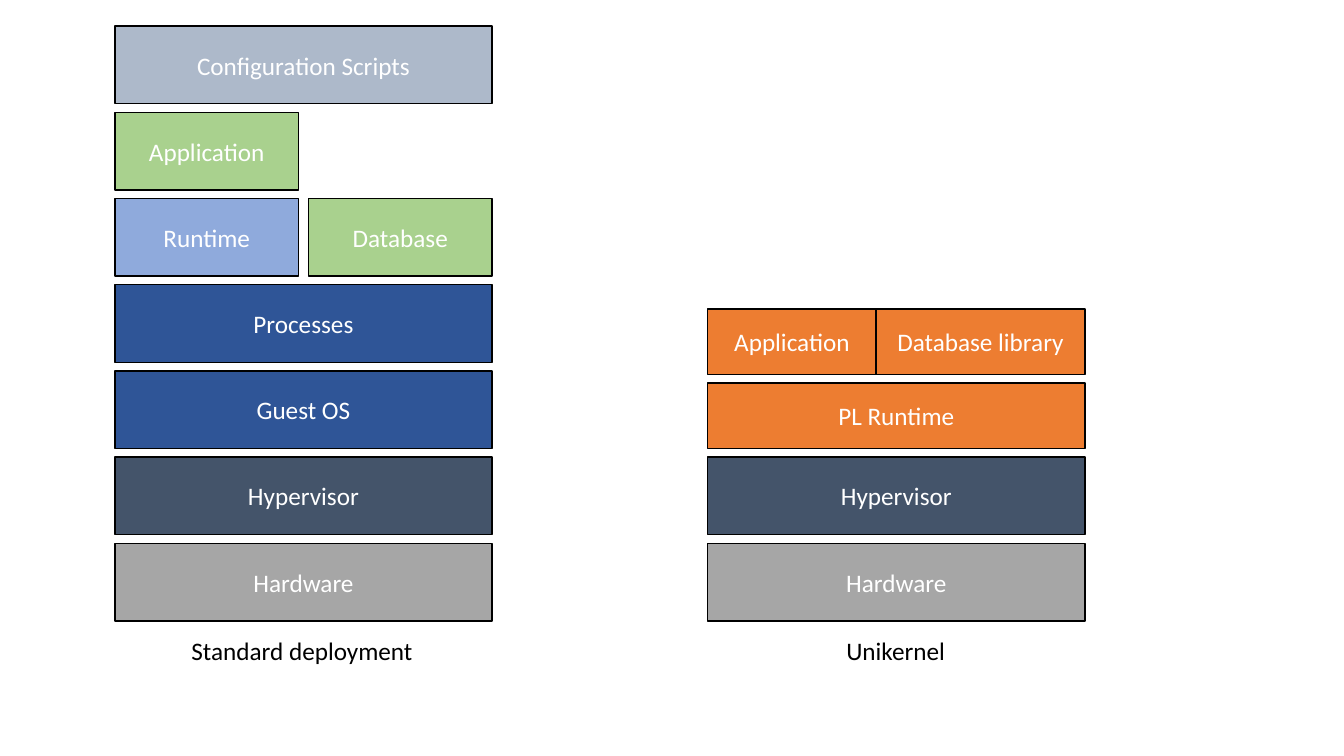
"""Build a slide that compares a standard deployment stack with a unikernel stack."""

from typing import NamedTuple

from pptx import Presentation
from pptx.dml.color import RGBColor
from pptx.enum.shapes import MSO_SHAPE
from pptx.enum.text import MSO_ANCHOR, MSO_AUTO_SIZE, PP_ALIGN
from pptx.shapes.base import BaseShape
from pptx.slide import Slide
from pptx.util import Emu, Pt

RECTANGLE = MSO_SHAPE.RECTANGLE
MIDDLE = MSO_ANCHOR.MIDDLE
FIT_SHAPE = MSO_AUTO_SIZE.SHAPE_TO_FIT_TEXT
LEFT = PP_ALIGN.LEFT
CENTER = PP_ALIGN.CENTER

BLACK = RGBColor(0x00, 0x00, 0x00)
WHITE = RGBColor(0xFF, 0xFF, 0xFF)
GRAY = RGBColor(0xA6, 0xA6, 0xA6)
SLATE = RGBColor(0x44, 0x54, 0x6A)
DARK_BLUE = RGBColor(0x2F, 0x55, 0x97)
LIGHT_BLUE = RGBColor(0x8F, 0xAA, 0xDC)
GREEN = RGBColor(0xA9, 0xD1, 0x8E)
PALE_SLATE = RGBColor(0xAD, 0xB9, 0xCA)
ORANGE = RGBColor(0xED, 0x7D, 0x31)

EMU_PER_PX = 4572
SLIDE_WIDTH = 2666
SLIDE_HEIGHT = 1500
STACK_WIDTH = 748
STACK_BOTTOM = 1232
ROW_GAP = 17
TALL = 154
SHORT = 130
HALF = 364
HALF_OFFSET = STACK_WIDTH - HALF
APPLICATION_WIDTH = 334
CAPTION_TOP = 1250
CAPTION_HEIGHT = 80


class Block(NamedTuple):
    """A labelled rectangle, placed relative to the left edge of its stack."""

    label: str
    color: RGBColor
    offset: int = 0
    width: int = STACK_WIDTH


class Row(NamedTuple):
    """Blocks that share one level of a stack."""

    height: int
    blocks: tuple[Block, ...]


class Stack(NamedTuple):
    """A captioned pile of rows, listed from bottom to top."""

    left: int
    caption: str
    caption_width: int
    rows: tuple[Row, ...]


SHARED_ROWS = (
    Row(TALL, (Block("Hardware", GRAY),)),
    Row(TALL, (Block("Hypervisor", SLATE),)),
)

STACKS = (
    Stack(228, "Standard deployment", 484, SHARED_ROWS + (
        Row(TALL, (Block("Guest OS", DARK_BLUE),)),
        Row(TALL, (Block("Processes", DARK_BLUE),)),
        Row(TALL, (
            Block("Runtime", LIGHT_BLUE, 0, HALF),
            Block("Database", GREEN, HALF_OFFSET, HALF),
        )),
        Row(TALL, (Block("Application", GREEN, 0, HALF),)),
        Row(TALL, (Block("Configuration Scripts", PALE_SLATE),)),
    )),
    Stack(1404, "Unikernel", 238, SHARED_ROWS + (
        Row(SHORT, (Block("PL Runtime", ORANGE),)),
        Row(SHORT, (
            Block("Application", ORANGE, 0, APPLICATION_WIDTH),
            Block("Database library", ORANGE, APPLICATION_WIDTH,
                  STACK_WIDTH - APPLICATION_WIDTH),
        )),
    )),
)


def px(length: int) -> Emu:
    """Convert a length in px to EMU."""
    return Emu(length * EMU_PER_PX)


def write_text(shape: BaseShape, text: str, *, color: RGBColor,
               alignment: PP_ALIGN, size: int = 18, font_name: str = "Calibri") -> None:
    """Put one formatted line of text into a shape."""
    paragraph = shape.text_frame.paragraphs[0]
    paragraph.alignment = alignment
    run = paragraph.add_run()
    run.text = text
    run.font.name = font_name
    run.font.size = Pt(size)
    run.font.color.rgb = color


def draw_block(slide: Slide, block: Block, stack_left: int, top: int, height: int) -> None:
    """Draw one block of a row."""
    shape = slide.shapes.add_shape(RECTANGLE, px(stack_left + block.offset), px(top),
                                   px(block.width), px(height))
    shape.shadow.inherit = False
    shape.fill.solid()
    shape.fill.fore_color.rgb = block.color
    shape.line.color.rgb = BLACK
    shape.line.width = Pt(1)
    shape.text_frame.vertical_anchor = MIDDLE
    write_text(shape, block.label, color=WHITE, alignment=CENTER)


def draw_caption(slide: Slide, stack: Stack) -> None:
    """Draw the caption centred below a stack."""
    left = stack.left + (STACK_WIDTH - stack.caption_width) // 2
    caption = slide.shapes.add_textbox(px(left), px(CAPTION_TOP),
                                       px(stack.caption_width), px(CAPTION_HEIGHT))
    caption.text_frame.word_wrap = False
    caption.text_frame.auto_size = FIT_SHAPE
    write_text(caption, stack.caption, color=BLACK, alignment=LEFT)


def draw_stack(slide: Slide, stack: Stack) -> None:
    """Draw the rows of a stack upwards, then its caption."""
    bottom = STACK_BOTTOM
    for row in stack.rows:
        top = bottom - row.height
        for block in row.blocks:
            draw_block(slide, block, stack.left, top, row.height)
        bottom = top - ROW_GAP
    draw_caption(slide, stack)


def main() -> None:
    """Create and save the presentation."""
    presentation = Presentation()
    presentation.slide_width = px(SLIDE_WIDTH)
    presentation.slide_height = px(SLIDE_HEIGHT)
    slide = presentation.slides.add_slide(presentation.slide_layouts[6])
    for stack in STACKS:
        draw_stack(slide, stack)
    presentation.save("out.pptx")


if __name__ == "__main__":
    main()
